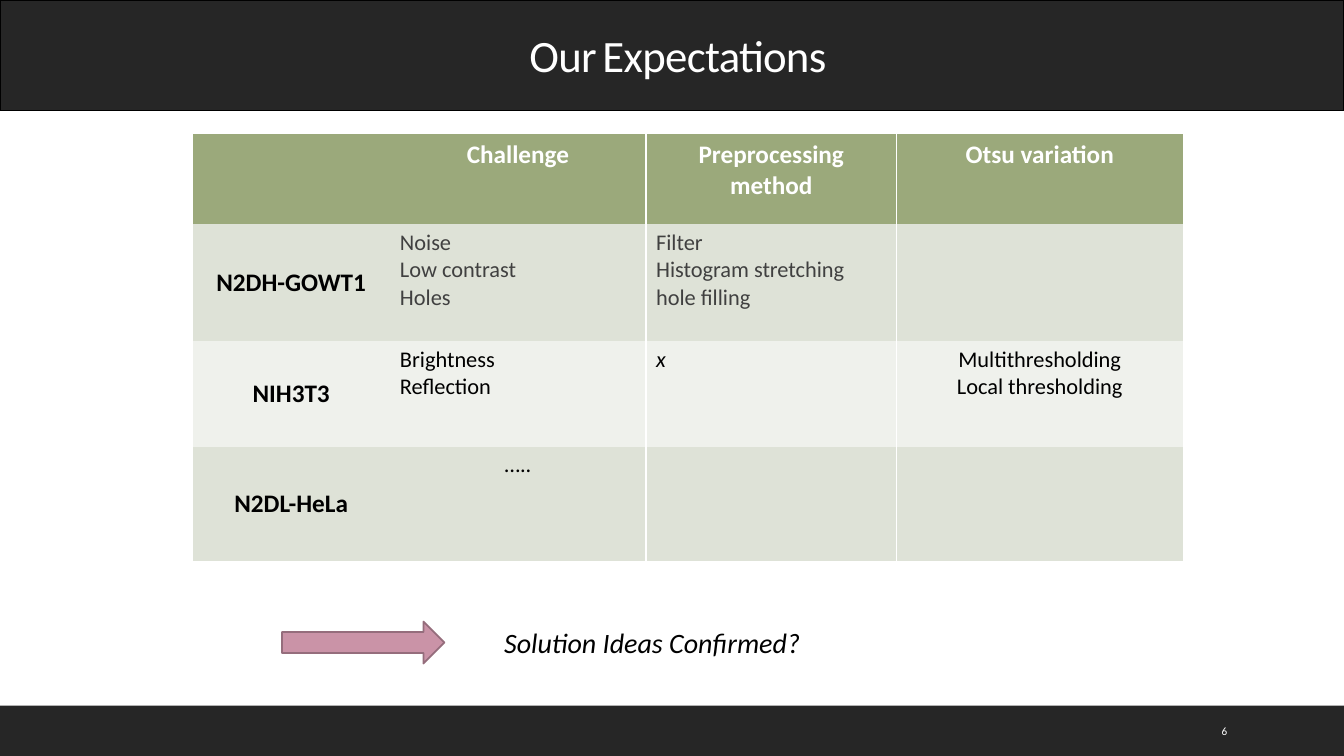
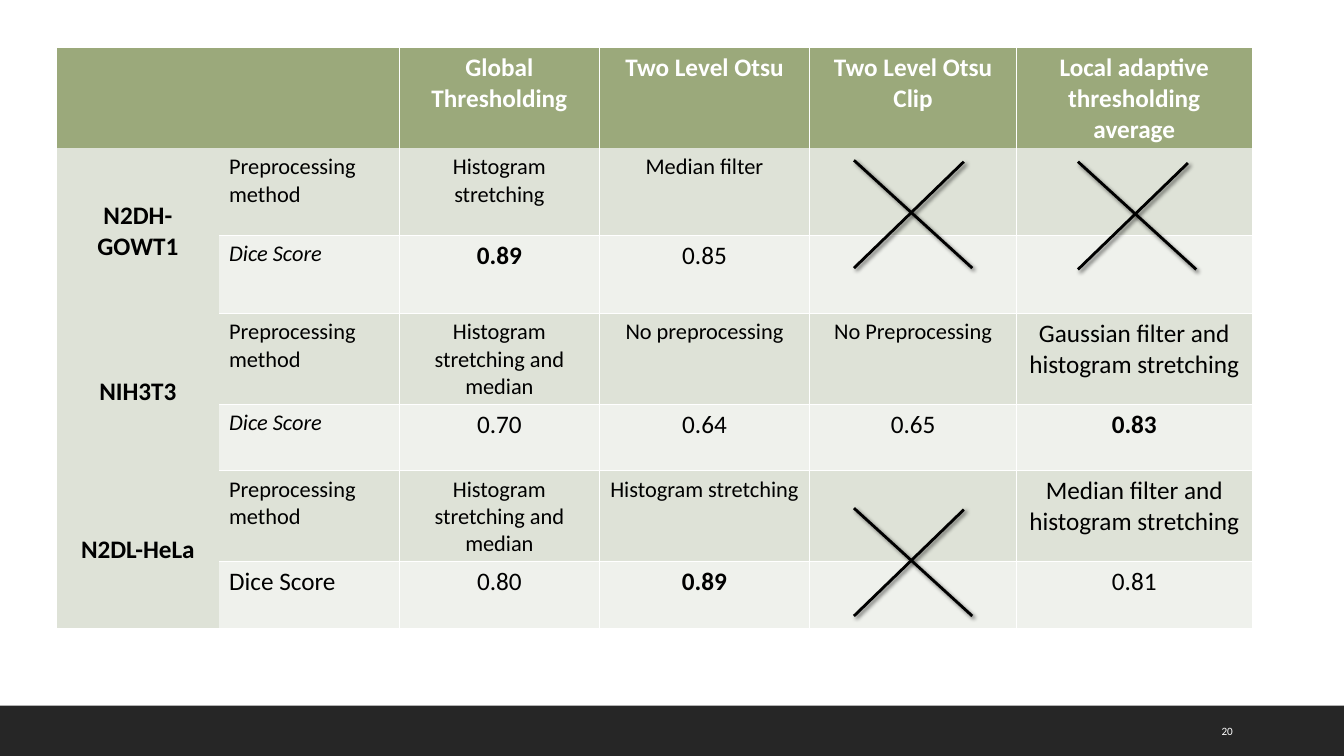
from lxml.etree import SubElement
from pptx import Presentation
from pptx.dml.color import RGBColor
from pptx.enum.shapes import MSO_CONNECTOR, MSO_SHAPE
from pptx.enum.text import MSO_ANCHOR, PP_ALIGN
from pptx.oxml.ns import qn
from pptx.util import Pt

FONT = "Calibri"
COLOURS = {
    "band": "262626",
    "black": "000000",
    "white": "FFFFFF",
    "grey": "404040",
    "header": "9BA97B",
    "row_dark": "DEE2D7",
    "row_light": "EFF1EC",
    "arrow": "CA93A7",
    "arrow_edge": "956D7C",
}
NO_TABLE_STYLE = "{2D5ABB26-0587-4C30-8999-92F81FD0307C}"
SLIDE_WIDTH, SLIDE_HEIGHT = 960, 540
FOOTER_TOP = 504

HEADER = {"size": 18, "bold": True, "colour": "white", "align": PP_ALIGN.CENTER}
LABEL = {"size": 18, "bold": True, "align": PP_ALIGN.CENTER, "anchor": MSO_ANCHOR.MIDDLE}
BODY = {"size": 16}
GREY = {"size": 16, "colour": "grey"}
ITALIC = {"size": 16, "italic": True}
CENTRED = {"size": 16, "align": PP_ALIGN.CENTER}
LARGE = {"size": 18}
LARGE_CENTRED = {"size": 18, "align": PP_ALIGN.CENTER}
BEST = {**LARGE_CENTRED, "bold": True}

TITLE = [("Our", {}), (" ", {"size": 18, "spacing": 0}), ("Expectations", {})]
EXPECTATION_HEADERS = ["", "Challenge", "Preprocessing\nmethod", "Otsu variation"]
EXPECTATION_ROWS = [
    [("N2DH-GOWT1", LABEL), ("Noise\nLow contrast\nHoles", GREY),
     ("Filter\nHistogram stretching\nhole filling", GREY), ("", BODY)],
    [("NIH3T3", LABEL), ("Brightness\nReflection", BODY), ("x", ITALIC),
     ("Multithresholding\nLocal thresholding", CENTRED)],
    [("N2DL-HeLa", LABEL), ("…..", CENTRED), ("", BODY), ("", BODY)],
]
EXPECTATION_COLUMNS = [141, 183, 179, 204.5]
EXPECTATION_HEIGHTS = [64, 83.5, 75.5, 82]

RESULT_HEADERS = ["", "", "Global Thresholding", "Two Level Otsu", "Two Level Otsu Clip",
                  "Local adaptive thresholding average"]
# Data set, method label, methods, score style, Dice scores
RESULTS = [
    ("N2DH-GOWT1", "Preprocessing\nmethod",
     ["Histogram stretching", "Median filter", "", ""],
     ITALIC, ["0.89", "0.85", "", ""]),
    ("NIH3T3", "Preprocessing method",
     ["Histogram stretching and median", "No preprocessing", "No Preprocessing",
      "Gaussian filter and histogram stretching"],
     ITALIC, ["0.70", "0.64", "0.65", "0.83"]),
    ("N2DL-HeLa", "Preprocessing\nmethod",
     ["Histogram stretching and median", "Histogram stretching", "",
      "Median filter and histogram stretching"],
     LARGE, ["0.80", "0.89", "", "0.81"]),
]
RESULT_COLUMNS = [116, 129, 142.5, 150.5, 147.5, 168.5]
RESULT_HEIGHTS = [65, 62, 56, 57.5, 47.5, 57.5, 47.5]
CROSS_ORIGINS = [(610, 114.5), (610, 363), (770, 115.5)]
CROSS_STROKES = [((0, 0), (84.5, 77)), ((78.5, 1), (0, 77))]


def colour_of(name):
    return RGBColor.from_string(COLOURS[name])


def write_text(frame, text, size=16, colour="black", bold=False, italic=False,
               align=PP_ALIGN.LEFT, spacing=0):
    """Write lines split at newlines, or one line of (text, overrides) runs."""
    lines = [[(line, {}) for line in [part]] for part in text.split("\n")] \
        if isinstance(text, str) else [text]
    for index, runs in enumerate(lines):
        paragraph = frame.add_paragraph() if index else frame.paragraphs[0]
        paragraph.alignment = align
        for content, overrides in runs:
            run = paragraph.add_run()
            run.text = content
            font = run.font
            font.name = FONT
            font.size = Pt(overrides.get("size", size))
            font.bold, font.italic = bold, italic
            font.color.rgb = colour_of(colour)
            run_spacing = overrides.get("spacing", spacing)
            if run_spacing:
                run._r.get_or_add_rPr().set("spc", str(int(run_spacing * 100)))


def add_text(slide, box, text, anchor=MSO_ANCHOR.TOP, **text_format):
    frame = slide.shapes.add_textbox(*map(Pt, box)).text_frame
    frame.word_wrap = True
    frame.vertical_anchor = anchor
    write_text(frame, text, **text_format)


def add_filled_shape(slide, kind, box, fill, line=None):
    shape = slide.shapes.add_shape(kind, *map(Pt, box))
    shape.shadow.inherit = False
    shape.fill.solid()
    shape.fill.fore_color.rgb = colour_of(fill)
    if line:
        shape.line.color.rgb = colour_of(line)
        shape.line.width = Pt(1.25)
    else:
        shape.line.fill.background()


def add_slide(presentation, number):
    """Add a blank slide with the footer band and its number."""
    slide = presentation.slides.add_slide(presentation.slide_layouts[6])
    add_filled_shape(slide, MSO_SHAPE.RECTANGLE,
                     (0, FOOTER_TOP, SLIDE_WIDTH, SLIDE_HEIGHT - FOOTER_TOP), "band")
    add_text(slide, (865.5, 507.5, 61, 29), str(number), size=8, colour="white",
             anchor=MSO_ANCHOR.MIDDLE)
    return slide


def add_border(cell, side):
    line = SubElement(cell._tc.get_or_add_tcPr(), qn(f"a:ln{side}"), w=str(Pt(1)))
    fill = SubElement(line, qn("a:solidFill"))
    SubElement(fill, qn("a:srgbClr"), val=COLOURS["white"])


def add_banded_table(slide, left, top, columns, heights, headers, body, ruled_rows=()):
    """Draw a table with lines between columns after the second, and below ruled_rows."""
    rows = [[(header, HEADER) for header in headers]] + body
    table = slide.shapes.add_table(len(rows), len(columns), Pt(left), Pt(top),
                                   Pt(sum(columns)), Pt(sum(heights))).table
    table._tbl.tblPr.find(qn("a:tableStyleId")).text = NO_TABLE_STYLE
    table.horz_banding = False
    for column, width in zip(table.columns, columns):
        column.width = Pt(width)
    for row, height in zip(table.rows, heights):
        row.height = Pt(height)
    for row_index, row in enumerate(rows):
        band = ("row_dark" if row_index % 2 else "row_light") if row_index else "header"
        for column_index, (text, style) in enumerate(row):
            cell = table.cell(row_index, column_index)
            borders = {
                "L": column_index > 1,
                "R": 0 < column_index < len(columns) - 1,
                "T": column_index and row_index - 1 in ruled_rows,
                "B": column_index and row_index in ruled_rows,
            }
            for side, wanted in borders.items():
                if wanted:
                    add_border(cell, side)
            cell.fill.solid()
            cell.fill.fore_color.rgb = colour_of(band)
            text_format = dict(style)
            cell.vertical_anchor = text_format.pop("anchor", MSO_ANCHOR.TOP)
            if text:
                write_text(cell.text_frame, text, **text_format)
    return table


def result_rows():
    """Give each data set a row of methods and a row of scores, the best in bold."""
    rows = []
    for name, method_label, methods, score_style, scores in RESULTS:
        best = max(scores)
        method_styles = [CENTRED] * (len(methods) - 1) + [LARGE_CENTRED]
        rows.append([(name, LABEL), (method_label, BODY), *zip(methods, method_styles)])
        rows.append([("", LABEL), ("Dice Score", score_style)]
                    + [(score, BEST if score == best else LARGE_CENTRED) for score in scores])
    return rows


def add_shadow(connector):
    effects = SubElement(connector._element.spPr, qn("a:effectLst"))
    shadow = SubElement(effects, qn("a:outerShdw"), blurRad=str(Pt(3)), dist=str(Pt(2)),
                        dir=str(45 * 60000), algn="tl", rotWithShape="0")
    colour = SubElement(shadow, qn("a:srgbClr"), val=COLOURS["black"])
    SubElement(colour, qn("a:alpha"), val="60000")


def add_cross(slide, left, top):
    group = slide.shapes.add_group_shape()
    for start, end in CROSS_STROKES:
        points = [Pt(origin + offset) for point in (start, end)
                  for origin, offset in zip((left, top), point)]
        connector = group.shapes.add_connector(MSO_CONNECTOR.STRAIGHT, *points)
        connector.line.color.rgb = colour_of("black")
        connector.line.width = Pt(2)
        add_shadow(connector)


def build_expectations(presentation):
    slide = add_slide(presentation, 6)
    add_filled_shape(slide, MSO_SHAPE.RECTANGLE, (0, 0, SLIDE_WIDTH, 79), "band", "black")
    add_text(slide, (371, 16.5, 420, 46), TITLE, size=32, colour="white", spacing=-0.5)
    add_banded_table(slide, 137.5, 96, EXPECTATION_COLUMNS, EXPECTATION_HEIGHTS,
                     EXPECTATION_HEADERS, EXPECTATION_ROWS)
    add_text(slide, (353, 443, 481, 31.5), "Solution Ideas Confirmed?", size=20, italic=True)
    add_filled_shape(slide, MSO_SHAPE.RIGHT_ARROW, (201.5, 444, 116, 30), "arrow", "arrow_edge")


def build_results(presentation):
    slide = add_slide(presentation, 20)
    method_rows = range(1, 2 * len(RESULTS), 2)
    table = add_banded_table(slide, 40.5, 34, RESULT_COLUMNS, RESULT_HEIGHTS,
                             RESULT_HEADERS, result_rows(), method_rows)
    for row in method_rows:
        table.cell(row, 0).merge(table.cell(row + 1, 0))
    for origin in CROSS_ORIGINS:
        add_cross(slide, *origin)


def main():
    presentation = Presentation()
    presentation.slide_width, presentation.slide_height = Pt(SLIDE_WIDTH), Pt(SLIDE_HEIGHT)
    build_expectations(presentation)
    build_results(presentation)
    presentation.save("out.pptx")


if __name__ == "__main__":
    main()
